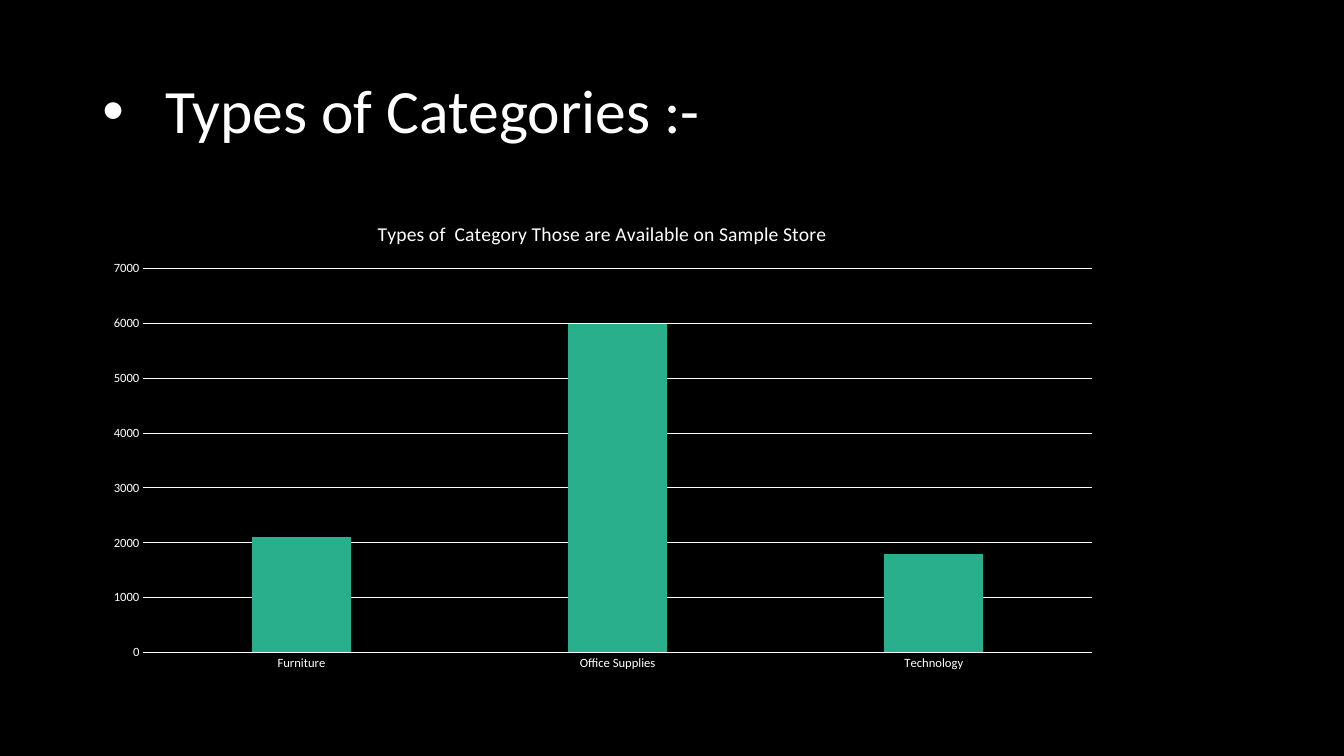
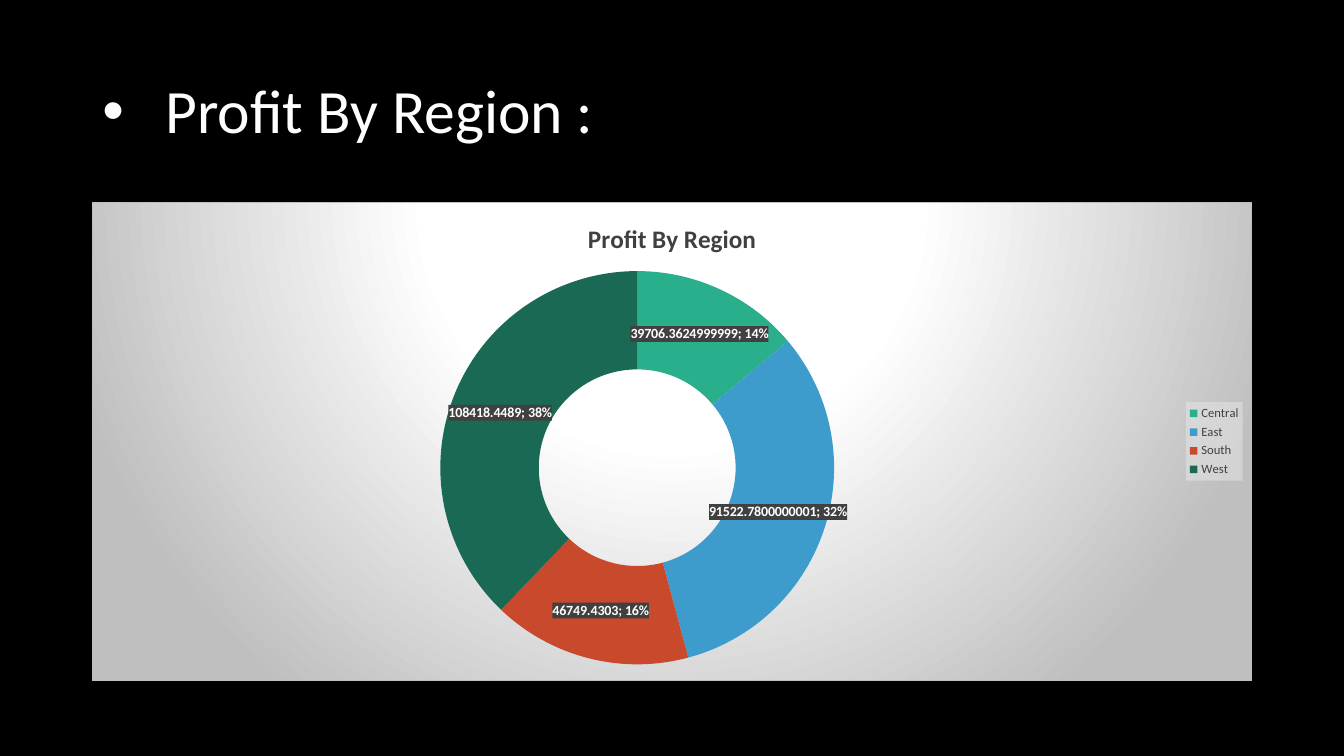
from lxml import etree
from pptx import Presentation
from pptx import util as u
from pptx.chart.data import CategoryChartData
from pptx.dml.color import RGBColor
from pptx.enum import chart as charts, text
from pptx.oxml import parse_xml
from pptx.oxml.ns import nsdecls, qn

FONT = "Calibri"
BLACK, WHITE, DARK, SILVER = "000000", "FFFFFF", "404040", "BFBFBF"
GREEN, BLUE, RED, FOREST = "29AF8C", "3D9CCC", "C9492C", "196954"
TITLE_BOX = (66, 28.8, 828, 104.4)
COLUMN_BOX = (66, 144, 728.6, 342.7)
DOUGHNUT_BOX = (66, 144, 828, 342.7)


def color(value):
    return RGBColor.from_string(value)


def style_font(font, size, value, bold=False):
    font.name = FONT
    font.size = u.Pt(size)
    font.bold = bold
    font.color.rgb = color(value)


def style_line(line, value, width=0.75):
    line.color.rgb = color(value)
    line.width = u.Pt(width)


def chart_fill(content):
    return parse_xml(f'<c:spPr {nsdecls("c", "a")}>{content}</c:spPr>')


def translucent(value, percent):
    return chart_fill(
        f'<a:solidFill><a:srgbClr val="{value}"><a:alpha val="{percent * 1000}"/>'
        "</a:srgbClr></a:solidFill>"
    )


def radial_panel():
    stops = "".join(
        f'<a:gs pos="{position * 1000}"><a:srgbClr val="{value}"/></a:gs>'
        for position, value in ((0, WHITE), (39, WHITE), (100, SILVER))
    )
    return chart_fill(
        f'<a:gradFill><a:gsLst>{stops}</a:gsLst><a:path path="circle">'
        '<a:fillToRect l="50000" t="-80000" r="50000" b="180000"/></a:path></a:gradFill>'
        f'<a:ln w="{u.Pt(0.75)}"><a:solidFill><a:srgbClr val="{SILVER}"/></a:solidFill></a:ln>'
    )


def place_plot(chart, x, y, width, height):
    """Fix the inner plot area, in fractions of the chart box."""
    plot_area = chart.element.find(".//" + qn("c:plotArea"))
    for old in plot_area.findall(qn("c:layout")):
        plot_area.remove(old)
    settings = (("layoutTarget", "inner"), ("xMode", "edge"), ("yMode", "edge"),
                ("x", x), ("y", y), ("w", width), ("h", height))
    layout = etree.Element(qn("c:layout"))
    manual = etree.SubElement(layout, qn("c:manualLayout"))
    for name, value in settings:
        etree.SubElement(manual, qn(f"c:{name}")).set("val", str(value))
    plot_area.insert(0, layout)


def add_title_slide(presentation, title):
    slide = presentation.slides.add_slide(presentation.slide_layouts[5])
    shape = slide.shapes.title
    shape.left, shape.top, shape.width, shape.height = map(u.Pt, TITLE_BOX)
    frame = shape.text_frame
    frame.text = title
    frame.word_wrap = True
    frame.auto_size = text.MSO_AUTO_SIZE.NONE
    frame.vertical_anchor = text.MSO_ANCHOR.MIDDLE
    paragraph = frame.paragraphs[0]
    paragraph.alignment = text.PP_ALIGN.LEFT
    paragraph.line_spacing = 0.9
    style_font(paragraph.runs[0].font, 44, WHITE)
    properties = paragraph._p.get_or_add_pPr()
    indent = u.Pt(45)
    properties.set("marL", str(indent))
    properties.set("indent", str(-indent))
    etree.SubElement(properties, qn("a:buFont")).set("typeface", "Arial")
    etree.SubElement(properties, qn("a:buChar")).set("char", "•")
    return slide


def add_chart(slide, box, kind, values, title, title_size, title_color, bold=False):
    data = CategoryChartData()
    data.categories = list(values)
    data.add_series("Series 1", list(values.values()))
    chart = slide.shapes.add_chart(kind, *map(u.Pt, box), data).chart
    style_font(chart.font, 10, WHITE)
    chart.has_title = True
    frame = chart.chart_title.text_frame
    frame.text = title
    style_font(frame.paragraphs[0].runs[0].font, title_size, title_color, bold)
    chart.chart_title.include_in_layout = False
    return chart


def add_column_chart(slide, box, values, title):
    chart = add_chart(slide, box, charts.XL_CHART_TYPE.COLUMN_CLUSTERED, values, title, 14, WHITE)
    chart.has_legend = False
    plot = chart.plots[0]
    plot.gap_width = 219
    plot.overlap = -27
    plot.vary_by_categories = False
    fill = plot.series[0].format.fill
    fill.solid()
    fill.fore_color.rgb = color(GREEN)
    for axis in (chart.category_axis, chart.value_axis):
        axis.major_tick_mark = axis.minor_tick_mark = charts.XL_TICK_MARK.NONE
        style_font(axis.tick_labels.font, 9, WHITE)
    style_line(chart.category_axis.format.line, WHITE)
    axis = chart.value_axis
    axis.minimum_scale, axis.maximum_scale, axis.major_unit = 0, 7000, 1000
    axis.format.line.fill.background()
    style_line(axis.major_gridlines.format.line, WHITE)
    place_plot(chart, 0.05, 0.14, 0.93, 0.8)


def add_doughnut_chart(slide, box, values, title):
    chart = add_chart(slide, box, charts.XL_CHART_TYPE.DOUGHNUT, values, title, 18, DARK, True)
    chart.element.find(qn("c:chart")).addnext(radial_panel())
    plot = chart.plots[0]
    plot.vary_by_categories = True
    series = plot.series[0]
    for index, value in enumerate((GREEN, BLUE, RED, FOREST)):
        fill = series.points[index].format.fill
        fill.solid()
        fill.fore_color.rgb = color(value)
    labels = series.data_labels
    labels.show_value = labels.show_percentage = True
    style_font(labels.font, 10, WHITE, True)
    chart.has_legend = True
    chart.legend.position = charts.XL_LEGEND_POSITION.RIGHT
    chart.legend.include_in_layout = False
    style_font(chart.legend.font, 9, DARK)
    for owner, value, percent in (("c:dLbls", DARK, 90), ("c:legend", "F2F2F2", 39)):
        text_properties = chart.element.find(f".//{qn(owner)}/{qn('c:txPr')}")
        text_properties.addprevious(translucent(value, percent))
    place_plot(chart, 0.3, 0.14, 0.34, 0.83)


def main():
    presentation = Presentation()
    presentation.slide_width, presentation.slide_height = u.Pt(960), u.Pt(540)
    background = presentation.slide_master.background.fill
    background.solid()
    background.fore_color.rgb = color(BLACK)

    slide = add_title_slide(presentation, "Types of Categories :-")
    categories = {"Furniture": 2100, "Office Supplies": 6000, "Technology": 1800}
    add_column_chart(slide, COLUMN_BOX, categories,
                     "Types of  Category Those are Available on Sample Store")

    slide = add_title_slide(presentation, "Profit By Region :")
    profits = {"Central": 39706.3624999999, "East": 91522.7800000001,
               "South": 46749.4303, "West": 108418.4489}
    add_doughnut_chart(slide, DOUGHNUT_BOX, profits, "Profit By Region")
    presentation.save("out.pptx")


if __name__ == "__main__":
    main()
